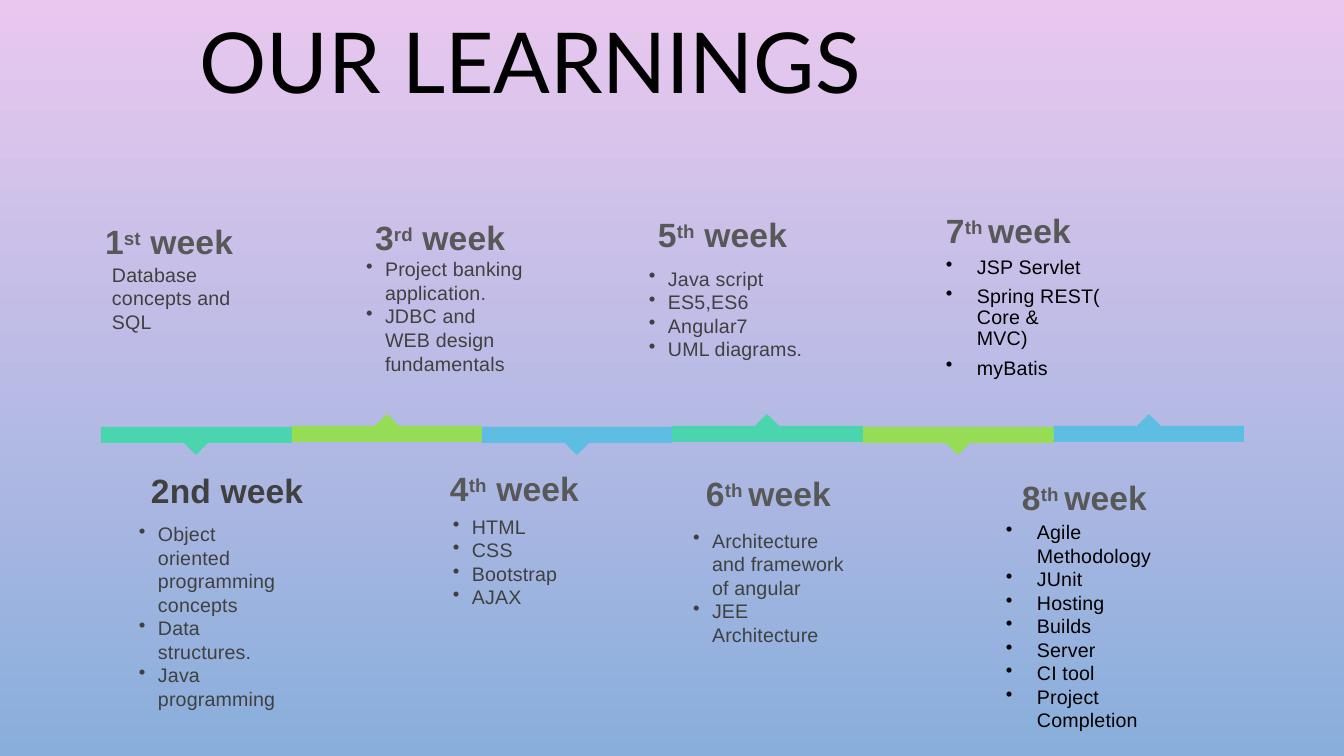
import pptx
import pptx.dml.color
import pptx.enum.text
import pptx.oxml
import pptx.oxml.ns
import pptx.util
from lxml import etree

PX = 914400 / 100.8
WIDE, HIGH = 1344, 756
SKY = ("E9C8EF", "89AEDB")
TITLE = "OUR LEARNINGS"
GREY, DARK, BLACK = "585858", "404040", "000000"
HUES = ["4BD5AF", "97DC55", "5EBDE3"]

# Timeline: left, right, number of bars, bar height, half tip, tip height
LINE = (101, 1244, 6, 16, 12, 12)
TOPS = (427, 426)  # tip down, tip up

# Each week: heading parts (the second is raised), heading colour, list colour,
# box (left, top, width, height), indents (heading, list, hang, right),
# gap under heading, line pitch and gap between items in points, items
WEEKS = [
    (("1", "st", " week"), GREY, DARK, (101, 221, 138, 114), (4, 11, 0, 0),
     (1, 16.8, 0), ["Database concepts and SQL"]),
    (("2nd week",), DARK, DARK, (138, 470, 184, 240), (13, 20, 19, 40),
     (8.5, 16.8, 0), ["Object oriented programming concepts",
                      "Data structures.", "Java programming"]),
    (("3", "rd", " week"), GREY, DARK, (362, 217, 168, 160), (13, 23, 19, 5),
     (0, 16.8, 0), ["Project banking application.",
                    "JDBC and\vWEB design fundamentals"]),
    (("4", "th", " week"), GREY, DARK, (446, 468, 140, 141), (4, 26, 19, 0),
     (4.6, 16.8, 0), ["HTML", "CSS", "Bootstrap", "AJAX"]),
    (("5", "th", " week"), GREY, DARK, (645, 214, 165, 148), (13, 23, 19, 0),
     (8.7, 16.8, 0), ["Java script", "ES5,ES6", "Angular7", "UML diagrams."]),
    (("6", "th ", "week"), GREY, DARK, (689, 473, 173, 152), (17, 23, 19, 12),
     (10.9, 16.8, 0), ["Architecture and framework of angular",
                       "JEE Architecture"]),
    (("7", "th ", "week"), GREY, BLACK, (944, 210, 165, 170), (2, 33, 31, 0),
     (5, 15, 6), ["JSP Servlet", "Spring REST(\vCore &\vMVC)", "myBatis"]),
    (("8", "th ", "week"), GREY, BLACK, (1004, 477, 157, 255), (18, 33, 31, 0),
     (2, 16.8, 0), ["Agile Methodology", "JUnit", "Hosting", "Builds",
                    "Server", "CI tool", "Project Completion"]),
]


def px(num):
    return round(num * PX)


def hue(code):
    return pptx.dml.color.RGBColor.from_string(code)


def style(run, size, ink, bold=False, face="Arial", gap=10):
    """Format a run; gap is the letter spacing in hundredths of a point."""
    run.font.size = pptx.util.Pt(size)
    run.font.name = face
    run.font.bold = bold
    run.font.color.rgb = hue(ink)
    run._r.get_or_add_rPr().set("spc", str(gap))


def dent(para, left, hang=0, right=0):
    props = para._p.get_or_add_pPr()
    for key, num in (("marL", left), ("marR", right), ("indent", -hang)):
        props.set(key, str(px(num)))


def bare(frame):
    frame.word_wrap = True
    frame.margin_left = frame.margin_right = 0
    frame.margin_top = frame.margin_bottom = 0


def add_bar(slide, num):
    left, right, count, thick, half, rise = LINE
    step = (right - left) / count
    x, end = round(left + num * step), round(left + (num + 1) * step)
    mid = (x + end) // 2
    up = num % 2
    top = TOPS[up]
    near, far = (top, top + thick) if up else (top + thick, top)
    tip = near - rise if up else near + rise
    pen = slide.shapes.build_freeform(x, near, scale=PX)
    pen.add_line_segments([(mid - half, near), (mid, tip), (mid + half, near),
                           (end, near), (end, far), (x, far)], close=True)
    bar = pen.convert_to_shape()
    bar.shadow.inherit = False
    bar.fill.solid()
    bar.fill.fore_color.rgb = hue(HUES[num % len(HUES)])
    bar.line.fill.background()


def add_week(slide, parts, tone, ink, box, dents, gaps, items):
    inset, left, hang, right = dents
    first, pitch, rest = gaps
    frame = slide.shapes.add_textbox(*map(px, box)).text_frame
    bare(frame)
    head = frame.paragraphs[0]
    dent(head, inset)
    for num, part in enumerate(parts):
        run = head.add_run()
        run.text = part
        style(run, 23.2 if num == 1 else 24, tone, True)
        if num == 1:
            run._r.get_or_add_rPr().set("baseline", "27000")
    for num, item in enumerate(items):
        para = frame.add_paragraph()
        para.text = item
        para.line_spacing = pptx.util.Pt(pitch)
        para.space_before = pptx.util.Pt(rest if num else first)
        dent(para, left, hang, right)
        if hang:
            mark = etree.SubElement(para._p.get_or_add_pPr(),
                                    pptx.oxml.ns.qn("a:buChar"))
            mark.set("char", "•")
        for run in para.runs:
            style(run, 14, ink)


def add_title(slide):
    title = slide.shapes.title
    title.left, title.top = px(-41), px(8)
    title.width, title.height = px(1142), px(104)
    frame = title.text_frame
    frame.text = TITLE
    bare(frame)
    frame.vertical_anchor = pptx.enum.text.MSO_ANCHOR.MIDDLE
    para = frame.paragraphs[0]
    para.alignment = pptx.enum.text.PP_ALIGN.CENTER
    style(para.runs[0], 60, BLACK, face="Lato", gap=-10)


def main():
    deck = pptx.Presentation()
    deck.slide_width, deck.slide_height = px(WIDE), px(HIGH)
    slide = deck.slides.add_slide(deck.slide_layouts[5])
    fill = slide.background.fill
    fill.gradient()
    fill.gradient_angle = 270
    for stop, code in zip(fill.gradient_stops, SKY):
        stop.color.rgb = hue(code)
    add_title(slide)
    for num in range(LINE[2]):
        add_bar(slide, num)
    for week in WEEKS:
        add_week(slide, *week)
    deck.save("out.pptx")


if __name__ == "__main__":
    main()
